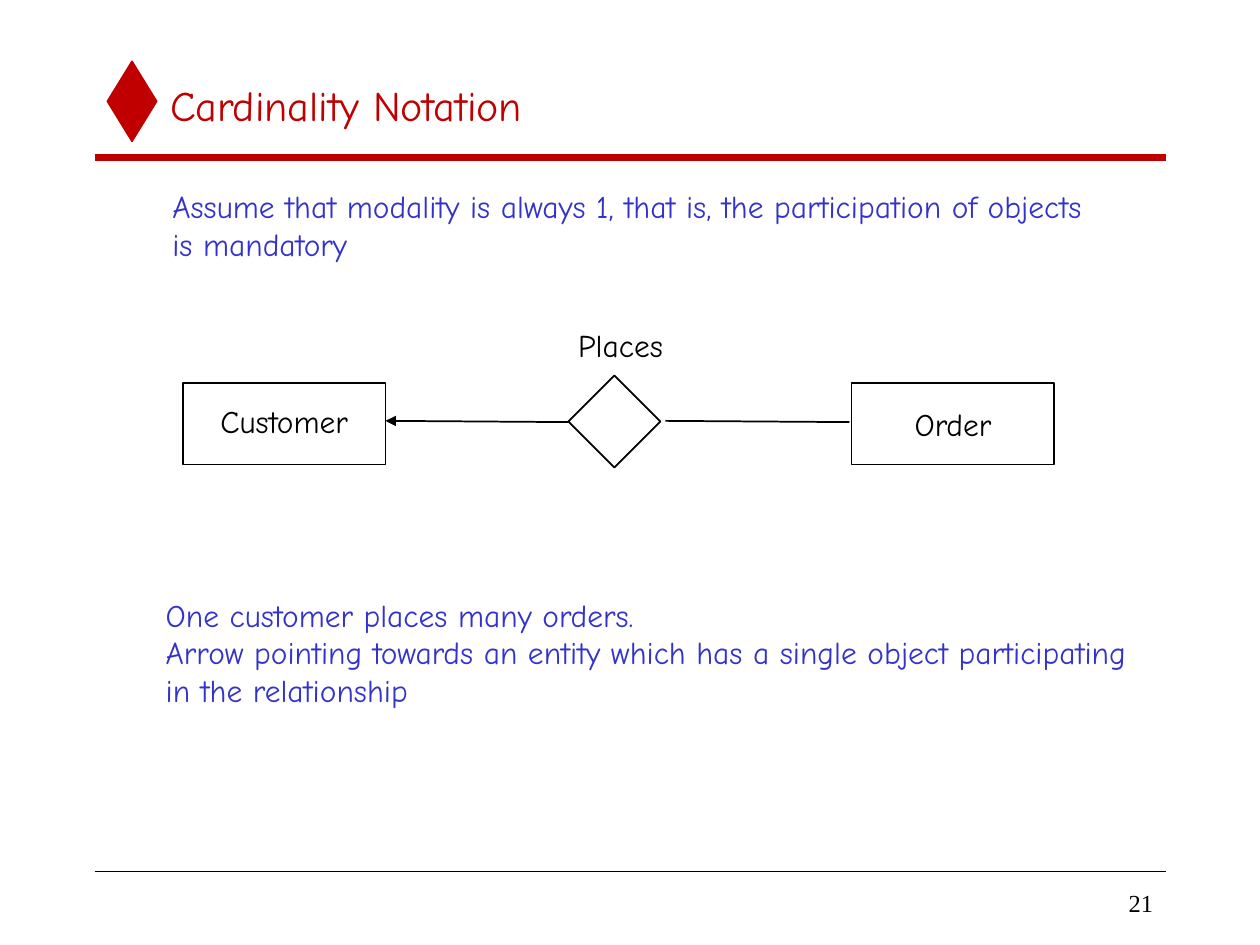
from dataclasses import dataclass

from pptx import Presentation
from pptx.dml.color import RGBColor
from pptx.enum.shapes import MSO_CONNECTOR, MSO_SHAPE
from pptx.enum.text import MSO_ANCHOR, MSO_AUTO_SIZE, PP_ALIGN
from pptx.oxml.ns import qn
from pptx.slide import Slide
from pptx.text.text import TextFrame
from pptx.util import Pt
from lxml.etree import SubElement

RED, BLUE, BLACK = "C00000", "3333CC", "000000"
HAND, SERIF = "Comic Neue", "Times New Roman"


@dataclass(frozen=True)
class Box:
    left: float
    top: float
    width: float
    height: float

    def lengths(self) -> tuple:
        return Pt(self.left), Pt(self.top), Pt(self.width), Pt(self.height)


@dataclass(frozen=True)
class Outline:
    preset: MSO_SHAPE
    box: Box
    color: str = BLACK
    fill: str | None = None


@dataclass(frozen=True)
class Rule:
    start: tuple[float, float]
    end: tuple[float, float]
    color: str = BLACK
    weight: float = 1
    arrow_at_start: bool = False


@dataclass(frozen=True)
class Label:
    text: str
    box: Box
    color: str = BLACK
    size: float = 18
    font: str = HAND
    align: PP_ALIGN = PP_ALIGN.LEFT
    anchor: MSO_ANCHOR = MSO_ANCHOR.TOP


def rgb(color: str) -> RGBColor:
    return RGBColor.from_string(color)


def write(frame: TextFrame, label: Label) -> None:
    frame.text = label.text
    frame.vertical_anchor = label.anchor
    for paragraph in frame.paragraphs:
        paragraph.alignment = label.align
        paragraph.font.name = label.font
        paragraph.font.size = Pt(label.size)
        paragraph.font.color.rgb = rgb(label.color)


def draw_title(slide: Slide, label: Label) -> None:
    title = slide.shapes.title
    title.left, title.top, title.width, title.height = label.box.lengths()
    title.text_frame.auto_size = MSO_AUTO_SIZE.NONE
    write(title.text_frame, label)


def draw_label(slide: Slide, label: Label) -> None:
    frame = slide.shapes.add_textbox(*label.box.lengths()).text_frame
    frame.word_wrap = False
    write(frame, label)


def draw_outline(slide: Slide, outline: Outline) -> None:
    shape = slide.shapes.add_shape(outline.preset, *outline.box.lengths())
    shape.shadow.inherit = False
    shape.line.color.rgb = rgb(outline.color)
    shape.line.width = Pt(1)
    if outline.fill:
        shape.fill.solid()
        shape.fill.fore_color.rgb = rgb(outline.fill)
    else:
        shape.fill.background()


def draw_rule(slide: Slide, rule: Rule) -> None:
    ends = [Pt(length) for length in rule.start + rule.end]
    connector = slide.shapes.add_connector(MSO_CONNECTOR.STRAIGHT, *ends)
    connector.line.color.rgb = rgb(rule.color)
    connector.line.width = Pt(rule.weight)
    properties = connector._element.spPr
    if rule.arrow_at_start:
        SubElement(properties.find(qn("a:ln")), qn("a:headEnd"), type="triangle")
    SubElement(properties, qn("a:effectLst"))


TITLE = Label("Cardinality Notation", Box(90, 36, 576, 48), RED, 24,
              anchor=MSO_ANCHOR.MIDDLE)

OUTLINES = [
    Outline(MSO_SHAPE.DIAMOND, Box(61.4, 35.1, 28.1, 45.6), RED, RED),
    Outline(MSO_SHAPE.RECTANGLE, Box(104.4, 218.7, 115.9, 46.8)),
    Outline(MSO_SHAPE.RECTANGLE, Box(486.5, 218.7, 115.9, 46.8)),
    Outline(MSO_SHAPE.DIAMOND, Box(324.8, 214.6, 52.6, 52.6)),
]

RULES = [
    Rule((54, 90), (666, 90), RED, 4),
    Rule((54, 498), (666, 498)),
    Rule((220.3, 240.5), (324.7, 241.2), arrow_at_start=True),
    Rule((380.2, 240.5), (485.3, 241.2)),
]

LABELS = [
    Label("21", Box(563.8, 504, 102.2, 24), size=14, font=SERIF,
          align=PP_ALIGN.RIGHT, anchor=MSO_ANCHOR.MIDDLE),
    Label("Customer", Box(118.8, 226.1, 92, 28.8)),
    Label("Order", Box(515.5, 227.9, 62, 28.8)),
    Label("Places", Box(323.3, 182.6, 67, 28.8)),
    Label("Assume that modality is always 1, that is, the participation of objects\n"
          "is mandatory", Box(91.4, 103.4, 540, 50.4), BLUE),
    Label("One customer places many orders.\n"
          "Arrow pointing towards an entity which has a single object participating\n"
          "in the relationship", Box(87.6, 336.8, 570, 72), BLUE),
]


def main() -> None:
    presentation = Presentation()
    presentation.slide_width, presentation.slide_height = Pt(720), Pt(540)
    title_only = presentation.slide_layouts[5]
    slide = presentation.slides.add_slide(title_only)
    draw_title(slide, TITLE)
    for outline in OUTLINES:
        draw_outline(slide, outline)
    for rule in RULES:
        draw_rule(slide, rule)
    for label in LABELS:
        draw_label(slide, label)
    presentation.save("out.pptx")


if __name__ == "__main__":
    main()
